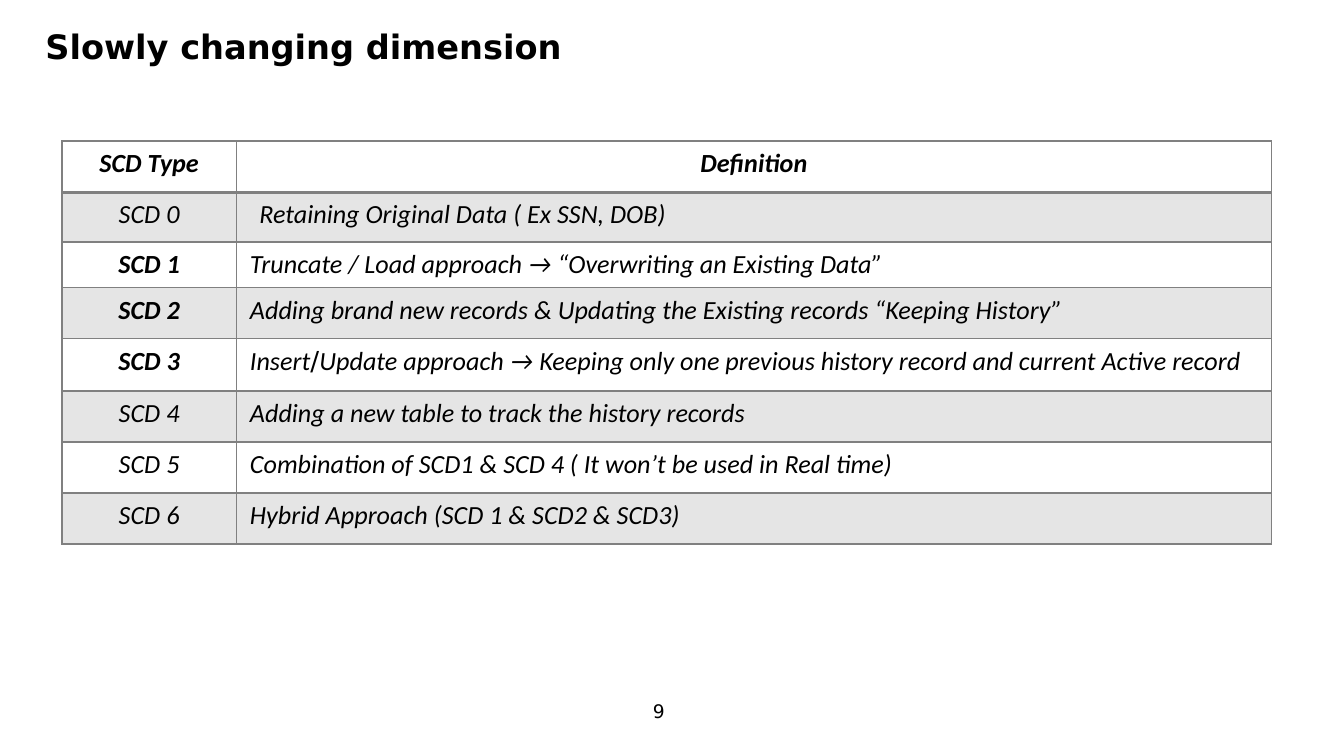
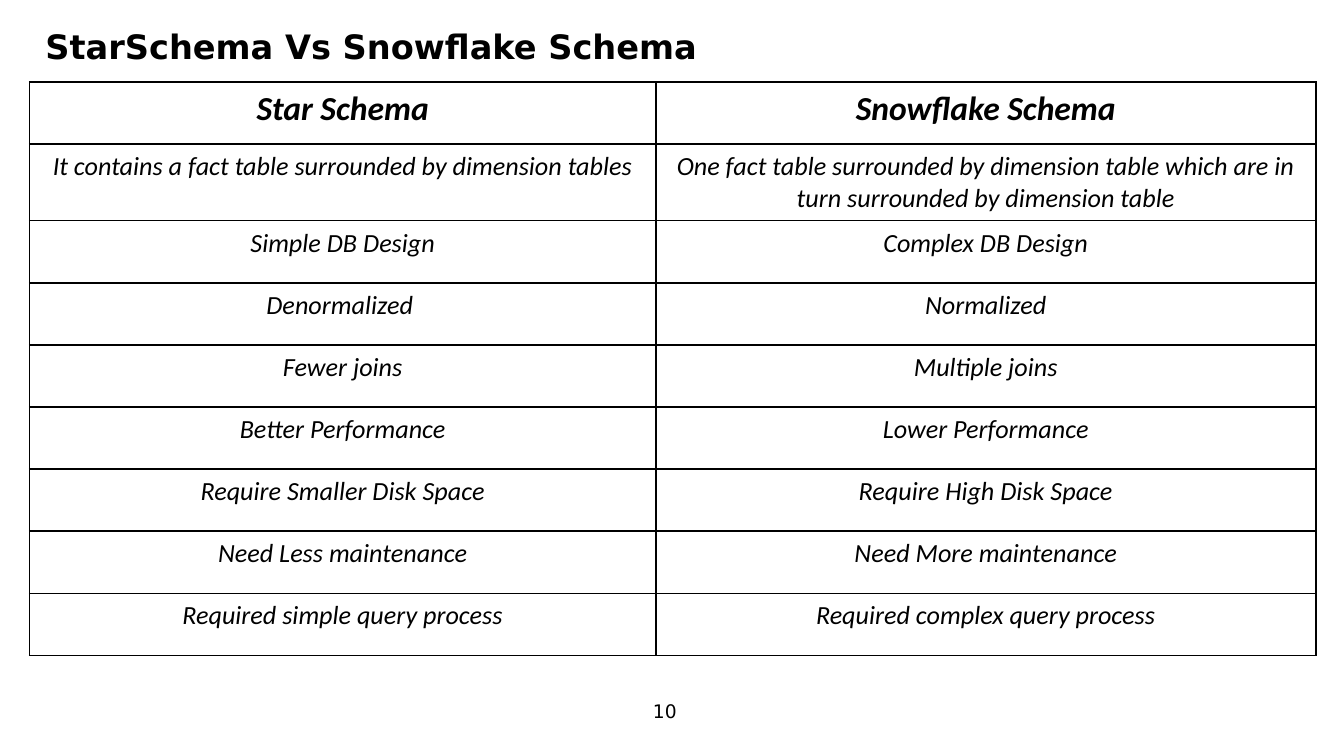
"""Build two slides comparing slowly changing dimensions and schema designs."""
import dataclasses

import lxml.etree
import pptx
import pptx.dml.color
import pptx.enum.text
import pptx.oxml.ns
import pptx.util

Inches = pptx.util.Inches
Align = pptx.enum.text.PP_ALIGN


@dataclasses.dataclass(frozen=True)
class Theme:
    black: str = "000000"
    gray: str = "808080"
    band_alpha: int = 20000
    heading_font: str = "DejaVu Sans"
    table_font: str = "Calibri"
    title_size: int = 18
    body_size: int = 14
    number_size: int = 10


theme = Theme()


def style_paragraph(paragraph, font_name, size, bold=False, italic=False):
    font = paragraph.font
    font.name = font_name
    font.size = pptx.util.Pt(size)
    font.bold = bold
    font.italic = italic
    font.color.rgb = pptx.dml.color.RGBColor.from_string(theme.black)


def set_border(cell, side, color, width):
    properties = cell._tc.get_or_add_tcPr()
    line = lxml.etree.SubElement(
        properties, pptx.oxml.ns.qn(f"a:ln{side}"), w=str(pptx.util.Pt(width)))
    fill = lxml.etree.SubElement(line, pptx.oxml.ns.qn("a:solidFill"))
    lxml.etree.SubElement(fill, pptx.oxml.ns.qn("a:srgbClr"), val=color)


scd_rows = [
    ("SCD Type", "Definition"),
    ("SCD 0", "Retaining Original Data ( Ex SSN, DOB)"),
    ("SCD 1", "Truncate / Load approach → “Overwriting an Existing Data”"),
    ("SCD 2", "Adding brand new records & Updating the Existing records “Keeping History”"),
    ("SCD 3", "Insert/Update approach → Keeping only one previous history record and current Active record"),
    ("SCD 4", "Adding a new table to track the history records"),
    ("SCD 5", "Combination of SCD1 & SCD 4 ( It won’t be used in Real time)"),
    ("SCD 6", "Hybrid Approach (SCD 1 & SCD2 & SCD3)"),
]
schema_rows = [
    ("Star Schema", "Snowflake Schema"),
    ("It contains a fact table surrounded by dimension tables",
     "One fact table surrounded by dimension table which are in turn surrounded by dimension table"),
    ("Simple DB Design", "Complex DB Design"),
    ("Denormalized ", "Normalized"),
    ("Fewer joins", "Multiple joins"),
    ("Better Performance", "Lower Performance"),
    ("Require Smaller Disk Space", "Require High Disk Space"),
    ("Need Less maintenance", "Need More maintenance"),
    ("Required simple query process", "Required complex query process"),
]
schema_heights = [(4.27 - 0.57) / 8] * len(schema_rows)
schema_heights[1] = 0.57

pages = [
    dict(number=9, title="Slowly changing dimension", title_height=0.45, rows=scd_rows,
         left=0.46, top=1.05, columns=(1.3, 7.7),
         heights=(0.38, 0.37, 0.34, 0.38, 0.39, 0.38, 0.38, 0.38),
         border=theme.gray, header_rule=2, header_size=theme.body_size,
         banded=True, centered_columns=(0,), bold_labels=("SCD 1", "SCD 2", "SCD 3")),
    dict(number=10, title="StarSchema Vs Snowflake Schema", title_height=0.39, rows=schema_rows,
         left=0.22, top=0.61, columns=(4.66, 4.91), heights=schema_heights,
         border=theme.black, header_rule=1, header_size=theme.title_size,
         banded=False, centered_columns=(0, 1), bold_labels=()),
]

presentation = pptx.Presentation()
presentation.slide_width = Inches(10)
presentation.slide_height = presentation.slide_width * 9 // 16
tables = []

for page in pages:
    slide = presentation.slides.add_slide(presentation.slide_layouts[6])

    number_box = slide.shapes.add_textbox(
        Inches(4.76), Inches(5.17), Inches(0.48), Inches(0.24))
    number_box.text_frame.vertical_anchor = pptx.enum.text.MSO_ANCHOR.MIDDLE
    title_box = slide.shapes.add_textbox(
        Inches(0.24), Inches(0.14), Inches(9.57), Inches(page["title_height"]))
    for box, text, size, bold in (
            (number_box, str(page["number"]), theme.number_size, False),
            (title_box, page["title"], theme.title_size, True)):
        box.text_frame.word_wrap = True
        box.text_frame.text = text
        style_paragraph(box.text_frame.paragraphs[0], theme.heading_font, size, bold)

    table = slide.shapes.add_table(
        len(page["rows"]), len(page["columns"]), Inches(page["left"]), Inches(page["top"]),
        Inches(sum(page["columns"])), Inches(sum(page["heights"]))).table
    table.first_row = False
    table.horz_banding = False
    tables.append(table)
    for column, width in zip(table.columns, page["columns"]):
        column.width = Inches(width)

    for row_index, texts in enumerate(page["rows"]):
        table.rows[row_index].height = Inches(page["heights"][row_index])
        is_header = row_index == 0
        for column_index, text in enumerate(texts):
            cell = table.cell(row_index, column_index)
            cell.text = text
            paragraph = cell.text_frame.paragraphs[0]
            style_paragraph(
                paragraph, theme.table_font,
                page["header_size"] if is_header else theme.body_size,
                bold=is_header or text in page["bold_labels"], italic=True)
            centered = is_header or column_index in page["centered_columns"]
            paragraph.alignment = Align.CENTER if centered else Align.LEFT

            for side in "LRTB":
                under_header = (row_index, side) in ((0, "B"), (1, "T"))
                set_border(cell, side, page["border"], page["header_rule"] if under_header else 1)
            if page["banded"] and row_index % 2:
                cell.fill.solid()
                cell.fill.fore_color.rgb = pptx.dml.color.RGBColor.from_string(theme.gray)
                color = cell._tc.tcPr.find("a:solidFill/a:srgbClr", pptx.oxml.ns._nsmap)
                lxml.etree.SubElement(
                    color, pptx.oxml.ns.qn("a:alpha"), val=str(theme.band_alpha))
            else:
                cell.fill.background()

scd_table = tables[0]
scd_table.cell(1, 1).margin_left = Inches(0.17)
insert_paragraph = scd_table.cell(4, 1).text_frame.paragraphs[0]
before, slash, after = insert_paragraph.text.partition("/")
insert_paragraph.runs[0].text = before
for text in (slash, after):
    insert_paragraph.add_run().text = text
slash_font = insert_paragraph.runs[1].font
slash_font.name = theme.heading_font
slash_font.italic = False

presentation.save("out.pptx")
